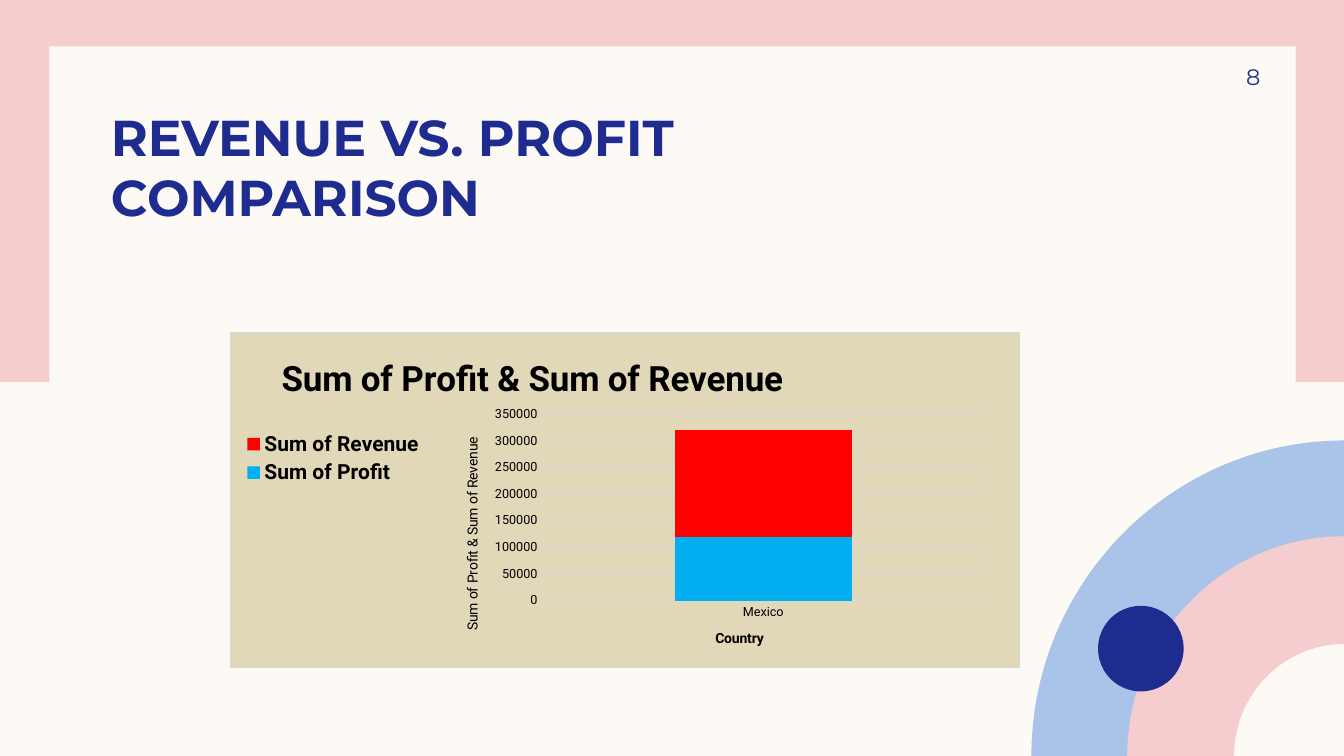
from dataclasses import dataclass

from lxml import etree
from pptx import Presentation
from pptx.chart.data import CategoryChartData
from pptx.dml.color import RGBColor
from pptx.enum.chart import XL_CHART_TYPE as ChartType, XL_LEGEND_POSITION as LegendSide
from pptx.enum.chart import XL_TICK_MARK as TickMark
from pptx.enum.shapes import MSO_SHAPE as Preset
from pptx.enum.text import MSO_ANCHOR as Anchor, MSO_AUTO_SIZE as AutoSize, PP_ALIGN as Align
from pptx.oxml import parse_xml
from pptx.oxml.ns import nsdecls, qn
from pptx.util import Inches, Pt


@dataclass(frozen=True)
class Theme:
    cream: str = "FDFAF6"
    pink: str = "F5CDCE"
    sky: str = "AAC3E8"
    navy: str = "1F2C8F"
    sand: str = "E0D8B8"
    grid: str = "D9D9D9"
    black: str = "000000"
    profit: str = "00B0F0"
    revenue: str = "FF0000"
    heading_font: str = "Montserrat"
    chart_font: str = "Roboto"
    title_size: int = 36
    number_size: int = 16
    chart_title_size: int = 25
    legend_size: int = 15
    axis_title_size: int = 10
    tick_size: int = 9


theme = Theme()


def style_font(font, name, size, color, bold=False):
    font.name, font.size, font.bold = name, Pt(size), bold
    font.color.rgb = RGBColor.from_string(color)


def set_layout(node, index, x, y, size=None, inner=False):
    """Pin a chart part at percentages of the chart area, as child number index."""
    for old in node.findall(qn("c:layout")):
        node.remove(old)
    layout = parse_xml(f"<c:layout {nsdecls('c')}><c:manualLayout/></c:layout>")
    values = [("layoutTarget", "inner")] if inner else []
    values += [("xMode", "edge"), ("yMode", "edge")]
    values += [(tag, round(part / 100, 4)) for tag, part in zip("xywh", (x, y, *(size or ())))]
    for tag, value in values:
        etree.SubElement(layout[0], qn(f"c:{tag}")).set("val", str(value))
    node.insert(index, layout)


deck = Presentation()
deck.slide_width, deck.slide_height = Inches(13.33), Inches(7.5)
page = deck.slides.add_slide(deck.slide_layouts[5])
page.background.fill.solid()
page.background.fill.fore_color.rgb = RGBColor.from_string(theme.cream)

# Frame, quarter discs around the bottom right corner, and dot
decorations = []
for color, left, top, width, height in [
    (theme.pink, -0.03, 0, 13.36, 3.79),
    (theme.cream, 0.49, 0.46, 12.36, 6.59),
]:
    panel = page.shapes.add_shape(
        Preset.RECTANGLE, Inches(left), Inches(top), Inches(width), Inches(height))
    decorations.append((panel, color))

corner_x, corner_y = deck.slide_width, deck.slide_height
curve = 0.55  # handle length of a quarter circle, as a share of its radius
for color, across, up in [
    (theme.sky, 3.1, 3.13), (theme.pink, 2.15, 2.18), (theme.cream, 1.09, 1.11),
]:
    wide, high = Inches(across), Inches(up)
    builder = page.shapes.build_freeform(corner_x, corner_y)
    builder.add_line_segments(
        [(corner_x - wide, corner_y), (corner_x, corner_y - high)], close=True)
    disc = builder.convert_to_shape()
    rim = disc.element.findall(".//" + qn("a:lnTo"))[1]
    arc = etree.Element(qn("a:cubicBezTo"))
    for x, y in [(0, high * (1 - curve)), (wide * (1 - curve), 0), (wide, 0)]:
        etree.SubElement(arc, qn("a:pt"), x=str(round(x)), y=str(round(y)))
    rim.getparent().replace(rim, arc)
    decorations.append((disc, color))

dot = page.shapes.add_shape(
    Preset.OVAL, Inches(10.89), Inches(6.01), Inches(0.85), Inches(0.85))
decorations.append((dot, theme.navy))

for shape, color in decorations:
    shape.shadow.inherit = False
    shape.fill.solid()
    shape.fill.fore_color.rgb = RGBColor.from_string(color)
    shape.line.fill.background()

# Title and page number
title = page.shapes.title
title.element.getparent().append(title.element)  # in front of the frame
title.left, title.top, title.width, title.height = map(Inches, (1, 1.06, 8.35, 1.19))
number = page.shapes.add_textbox(Inches(11.33), Inches(0.5), Inches(1.17), Inches(0.52))
for box, text, size, bold, align, anchor, insets in [
    (title, "REVENUE VS. PROFIT COMPARISON", theme.title_size, True,
     Align.LEFT, Anchor.BOTTOM, (0.1, 0, 0.1, 0)),
    (number, "8", theme.number_size, False,
     Align.RIGHT, Anchor.MIDDLE, (0.1, 0.05, 0, 0.05)),
]:
    frame = box.text_frame
    frame.word_wrap, frame.auto_size, frame.vertical_anchor = True, AutoSize.NONE, anchor
    (frame.margin_left, frame.margin_top,
     frame.margin_right, frame.margin_bottom) = map(Inches, insets)
    para = frame.paragraphs[0]
    para.alignment = align
    span = para.add_run()
    span.text = text
    style_font(span.font, theme.heading_font, size, theme.navy, bold)

# Chart
data = CategoryChartData()
data.categories = ["Mexico"]
data.add_series("Sum of Profit", [120000])
data.add_series("Sum of Revenue", [200000])
chart = page.shapes.add_chart(
    ChartType.COLUMN_STACKED, Inches(2.28), Inches(3.29), Inches(7.84), Inches(3.34), data).chart
style_font(chart.font, theme.chart_font, theme.axis_title_size, theme.black)
chart.element.find(qn("c:chart")).addnext(parse_xml(
    f'<c:spPr {nsdecls("c", "a")}>'
    f'<a:solidFill><a:srgbClr val="{theme.sand}"/></a:solidFill>'
    f'<a:ln w="9525"><a:solidFill><a:srgbClr val="{theme.grid}"/></a:solidFill></a:ln>'
    '</c:spPr>'))

plot = chart.plots[0]
plot.gap_width, plot.overlap, plot.vary_by_categories = 150, 100, False
for series, color in zip(plot.series, (theme.profit, theme.revenue)):
    series.format.fill.solid()
    series.format.fill.fore_color.rgb = RGBColor.from_string(color)

country_axis, value_axis = chart.category_axis, chart.value_axis
for axis in (country_axis, value_axis):
    axis.major_tick_mark = axis.minor_tick_mark = TickMark.NONE
    axis.format.line.fill.background()
    style_font(axis.tick_labels.font, theme.chart_font, theme.tick_size, theme.black)
value_axis.minimum_scale, value_axis.maximum_scale, value_axis.major_unit = 0, 350000, 50000
value_axis.has_major_gridlines = True
grid_line = value_axis.major_gridlines.format.line
grid_line.width = Pt(0.75)
grid_line.color.rgb = RGBColor.from_string(theme.grid)

measures = "Sum of Profit & Sum of Revenue"
for heading, text, size, bold, x, y in [
    (chart.chart_title, measures, theme.chart_title_size, True, 5.7, 4.9),
    (country_axis.axis_title, "Country", theme.axis_title_size, True, 61.1, 87.7),
    (value_axis.axis_title, measures, theme.axis_title_size, False, 29.2, 30.6),
]:
    span = heading.text_frame.paragraphs[0].add_run()
    span.text = text
    style_font(span.font, theme.chart_font, size, theme.black, bold)
    set_layout(heading.element, 1, x, y)
value_axis.axis_title.element.find(".//" + qn("a:bodyPr")).set("rot", "-5400000")

chart.has_legend = True
chart.legend.position, chart.legend.include_in_layout = LegendSide.RIGHT, False
style_font(chart.legend.font, theme.chart_font, theme.legend_size, theme.black, True)
set_layout(chart.element.find(".//" + qn("c:legend")), 1, 0.5, 28.6, (25, 18))
set_layout(chart.element.find(".//" + qn("c:plotArea")), 0, 39.4, 24.5, (56.2, 55.5), inner=True)

deck.save("out.pptx")
